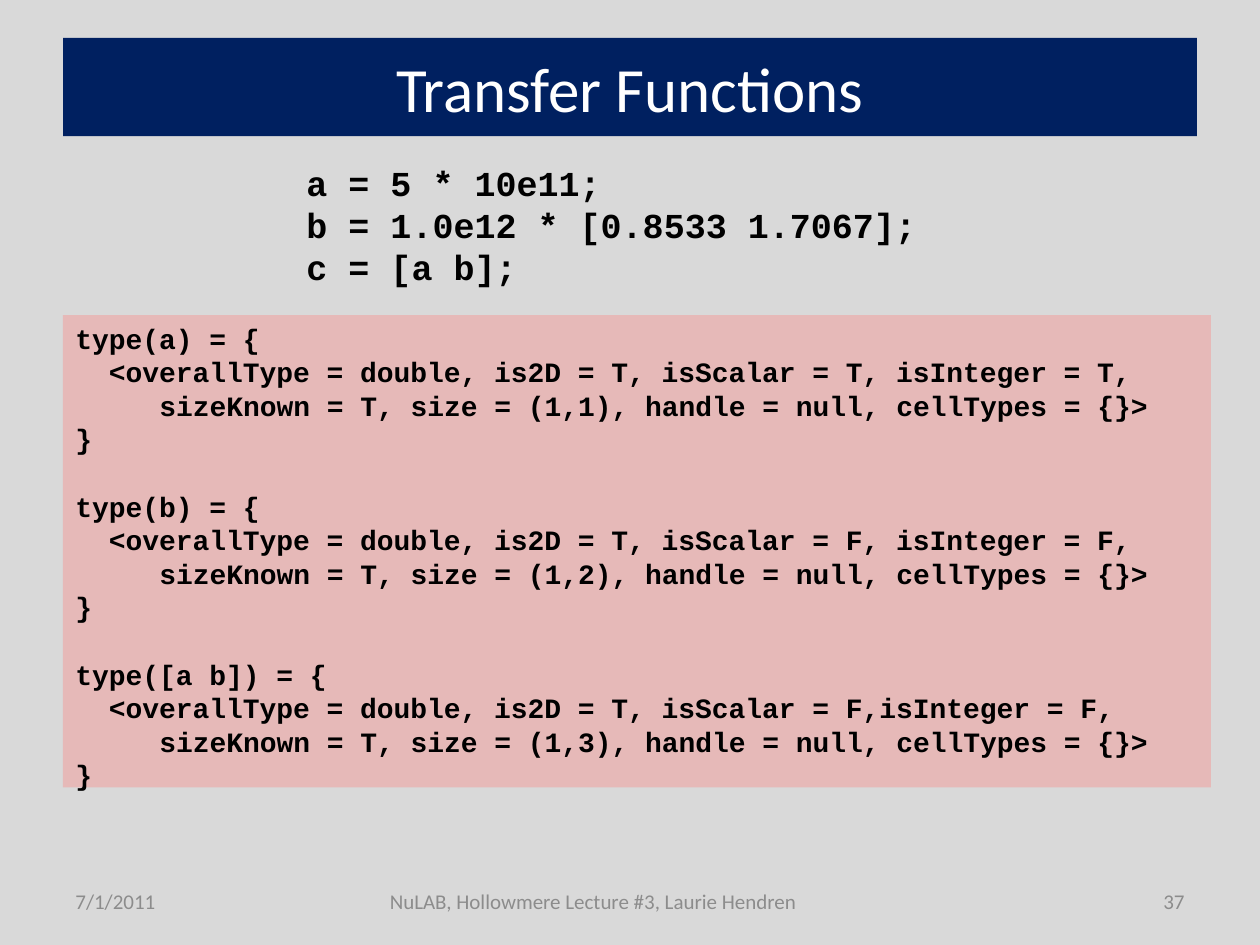
from pptx import Presentation
from pptx.dml.color import RGBColor
from pptx.enum.shapes import MSO_SHAPE
from pptx.enum.text import MSO_ANCHOR, MSO_AUTO_SIZE, PP_ALIGN
from pptx.util import Pt

SANS, MONO = "Calibri", "Courier New"
CODE_SIZE = 16
CHAR_WIDTH = 0.6 * CODE_SIZE
LINE_HEIGHT = 1.2 * CODE_SIZE

SAMPLE = ["a = 5 * 10e11;", "b = 1.0e12 * [0.8533 1.7067];", "c = [a b];"]
TYPES = [
    ("a", "isScalar = T, isInteger = T", "(1,1)"),
    ("b", "isScalar = F, isInteger = F", "(1,2)"),
    ("[a b]", "isScalar = F,isInteger = F", "(1,3)"),
]
FOOTERS = [
    (36, 84, "7/1/2011", PP_ALIGN.LEFT),
    (606, 78, "37", PP_ALIGN.RIGHT),
    (144, 390, "NuLAB, Hollowmere Lecture #3, Laurie Hendren", PP_ALIGN.CENTER),
]


def color(value):
    return RGBColor.from_string(value)


class Deck:
    """Hold the style and the current slide, and add its elements."""

    def __init__(self, prs, background):
        self.s = prs.slides.add_slide(prs.slide_layouts[5])
        self.paint(self.s.background, background)

    def paint(self, sp, fill):
        sp.fill.solid()
        sp.fill.fore_color.rgb = color(fill)

    def set_text(self, sp, lines, size, font, ink, bold=False,
                 align=PP_ALIGN.LEFT, anchor=MSO_ANCHOR.TOP):
        tf = sp.text_frame
        tf.text = "\n".join(lines)
        tf.word_wrap = True
        tf.auto_size = MSO_AUTO_SIZE.NONE
        tf.vertical_anchor = anchor
        for p in tf.paragraphs:
            p.alignment = align
            for r in p.runs:
                r.font.size, r.font.name, r.font.bold = Pt(size), font, bold
                r.font.color.rgb = color(ink)
        return tf

    def title(self, x, y, w, h, text, fill):
        sp = self.s.shapes.title
        sp.left, sp.top, sp.width, sp.height = map(Pt, (x, y, w, h))
        self.paint(sp, fill)
        self.set_text(sp, [text], 36, SANS, "FFFFFF",
                      align=PP_ALIGN.CENTER, anchor=MSO_ANCHOR.MIDDLE)

    def text(self, x, y, w, h, lines, size, font, ink, **style):
        sp = self.s.shapes.add_textbox(*map(Pt, (x, y, w, h)))
        return self.set_text(sp, lines, size, font, ink, **style)

    def panel(self, x, y, w, h, lines, fill):
        sp = self.s.shapes.add_shape(MSO_SHAPE.RECTANGLE, *map(Pt, (x, y, w, h)))
        sp.shadow.inherit = False
        sp.line.fill.background()
        self.paint(sp, fill)
        return self.set_text(sp, lines, CODE_SIZE, MONO, "000000", bold=True)


def type_lines(name, flags, size):
    return [
        f"type({name}) = {{",
        f"<overallType = double, is2D = T, {flags},",
        f"sizeKnown = T, size = {size}, handle = null, cellTypes = {{}}>",
        "}",
    ]


def main():
    prs = Presentation()
    prs.slide_width, prs.slide_height = Pt(720), Pt(540)
    deck = Deck(prs, "D9D9D9")
    deck.title(36, 21.6, 648, 56.2, "Transfer Functions", "002060")

    lines = [line for entry in TYPES for line in type_lines(*entry)]
    tf = deck.panel(36, 180, 656, 270, lines, "E6B9B8")
    indents = (0, 2, 5, 0)
    for i, p in enumerate(tf.paragraphs):
        margin = Pt(indents[i % 4] * CHAR_WIDTH)
        p._p.get_or_add_pPr().set("marL", str(int(margin)))
        if i and i % 4 == 0:
            p.space_before = Pt(LINE_HEIGHT)

    deck.text(168, 88.5, 364, 73, SAMPLE, 20, MONO, "000000", bold=True)
    for x, w, text, align in FOOTERS:
        deck.text(x, 500.5, w, 28.75, [text], 12, SANS, "8C8C8C",
                  align=align, anchor=MSO_ANCHOR.MIDDLE)
    prs.save("out.pptx")


if __name__ == "__main__":
    main()
